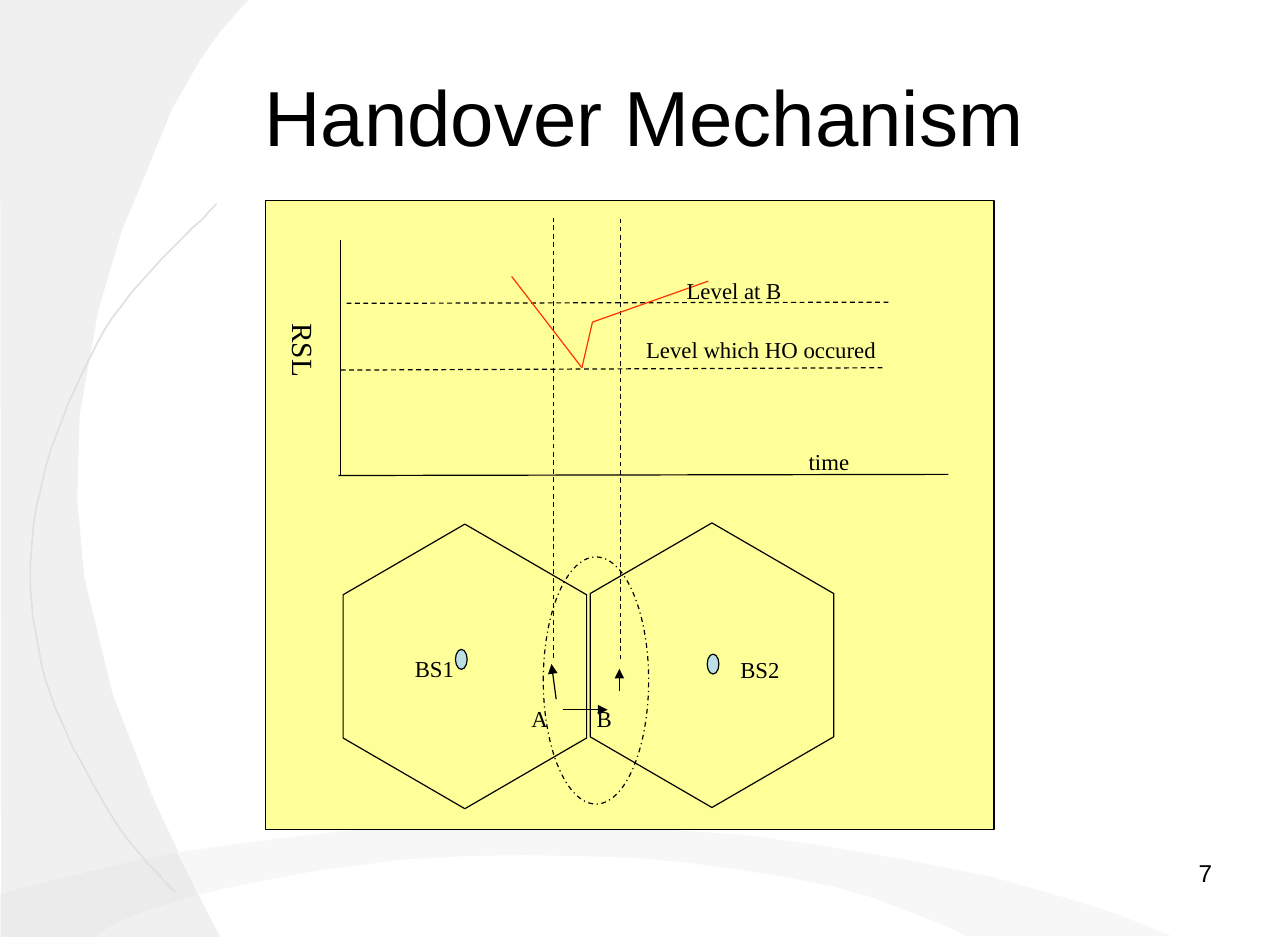
from lxml import etree
from pptx import Presentation
from pptx.dml.color import RGBColor
from pptx.enum.dml import MSO_LINE
from pptx.enum.shapes import MSO_CONNECTOR, MSO_SHAPE
from pptx.enum.text import MSO_ANCHOR, PP_ALIGN
from pptx.oxml.ns import qn
from pptx.util import Inches, Pt

GRID = Inches(0.01)
COLUMNS, ROWS = 1100, 800
TITLE_ONLY = 5
DASH, DASH_DOT = MSO_LINE.DASH, MSO_LINE.DASH_DOT
RECT, OVAL, HEXAGON = MSO_SHAPE.RECTANGLE, MSO_SHAPE.OVAL, MSO_SHAPE.HEXAGON
STRAIGHT = MSO_CONNECTOR.STRAIGHT
CENTER, RIGHT = PP_ALIGN.CENTER, PP_ALIGN.RIGHT
MIDDLE = MSO_ANCHOR.MIDDLE
BLACK, RED = "000000", "FF3300"
SANS, SERIF = "Arial", "Times New Roman"

SIDE_SWEEP = [(0, 0), (212, 0), (188, 27), (171, 51), (147, 93), (127, 142),
              (104, 197), (84, 265), (68, 354), (66, 427), (72, 493), (96, 592),
              (131, 682), (169, 763), (188, 800), (1, 800)]
BOTTOM_SWEEP = [(0, 800), (0, 763), (11, 760), (77, 743), (149, 728), (230, 717),
                (300, 709), (361, 706), (422, 704), (492, 704), (565, 708),
                (637, 713), (702, 722), (773, 734), (848, 749), (898, 763),
                (953, 780), (1000, 799), (825, 799), (809, 791), (778, 779),
                (744, 766), (712, 757), (672, 749), (629, 742), (582, 736),
                (536, 732), (492, 731), (448, 730), (396, 731), (343, 734),
                (273, 743), (224, 752), (168, 764), (132, 775), (103, 785),
                (79, 800)]
SWEEP_OVERLAP = [(1, 800), (81, 800), (89, 794), (101, 787), (118, 780),
                 (133, 775), (146, 771), (159, 767), (169, 764), (160, 745),
                 (151, 728), (119, 734), (79, 743), (46, 751), (15, 759), (1, 763)]
ARC = [(150, 762), (141, 751), (114, 728), (95, 696), (76, 664), (47, 614),
       (36, 570), (26, 526), (22, 481), (31, 433), (40, 385), (64, 325),
       (89, 282), (115, 239), (165, 196), (185, 174)]


def rgb(color):
    """Turn a hex string into a colour."""
    return RGBColor.from_string(color)


def style(sp, fill=None, line=None, weight=0.75, dash=None):
    """Set the fill and outline of a shape and drop its shadow."""
    sp.shadow.inherit = False
    if fill:
        sp.fill.solid()
        sp.fill.fore_color.rgb = rgb(fill)
    else:
        sp.fill.background()
    if line:
        sp.line.color.rgb = rgb(line)
        sp.line.width = Pt(weight)
        sp.line.dash_style = dash
    else:
        sp.line.fill.background()


def shape(slide, kind, center, size, **look):
    """Add a preset shape around a centre point."""
    (x, y), (w, h) = center, size
    sp = slide.shapes.add_shape(kind, round((x - w / 2) * GRID), round((y - h / 2) * GRID),
                                w * GRID, h * GRID)
    style(sp, **look)
    return sp


def outline(slide, points, closed=True, **look):
    """Draw a freeform through grid points."""
    builder = slide.shapes.build_freeform(*points[0], scale=GRID)
    builder.add_line_segments(points[1:], close=closed)
    style(builder.convert_to_shape(), **look)


def line(slide, box, start, end, color=BLACK, dash=None, arrow=False):
    """Draw a straight line between two points of a box."""
    x, y = box[:2]
    ends = [(x + start[0]) * GRID, (y + start[1]) * GRID,
            (x + end[0]) * GRID, (y + end[1]) * GRID]
    cxn = slide.shapes.add_connector(STRAIGHT, *ends)
    cxn.line.color.rgb = rgb(color)
    cxn.line.width = Pt(0.75)
    cxn.line.dash_style = dash
    if arrow:
        etree.SubElement(cxn.line._get_or_add_ln(), qn("a:tailEnd"), type="triangle")
    etree.SubElement(cxn._element.spPr, qn("a:effectLst"))


def write(tf, text, size, font, align=CENTER):
    """Write one formatted run into a text frame."""
    p = tf.paragraphs[0]
    p.alignment = align
    r = p.add_run()
    r.text = text
    r.font.size, r.font.name = Pt(size), font
    r.font.color.rgb = rgb(BLACK)


def label(slide, box, text, center, width, height=34, size=14, turn=0):
    """Place a centred label around a point of a box."""
    x, y = box[0] + center[0] - width / 2, box[1] + center[1] - height / 2
    sp = slide.shapes.add_textbox(round(x * GRID), round(y * GRID),
                                  width * GRID, height * GRID)
    sp.rotation = turn
    sp.text_frame.word_wrap = False
    write(sp.text_frame, text, size, SERIF)


def cubic(a, b, c, d, t):
    """Return the point at share t of a cubic curve."""
    return tuple((1 - t) ** 3 * i + 3 * t * (1 - t) ** 2 * j
                 + 3 * t ** 2 * (1 - t) * k + t ** 3 * m
                 for i, j, k, m in zip(a, b, c, d))


def backdrop(slide):
    """Draw the grey sweeps and the thin arc."""
    for points, fill in ((SIDE_SWEEP, "F0F0F0"), (BOTTOM_SWEEP, "F7F7F7"),
                         (SWEEP_OVERLAP, "EBEBEB")):
        outline(slide, points, fill=fill)
    steps = 12
    curve = [cubic(*ARC[i:i + 4], s / steps)
             for i in range(0, len(ARC) - 1, 3) for s in range(steps)]
    outline(slide, curve + ARC[-1:], closed=False, line="DFDFE4", weight=1)


def heading(slide, box):
    """Place the slide title."""
    sp = slide.shapes.title
    sp.left, sp.top, sp.width, sp.height = (v * GRID for v in box)
    sp.text_frame.vertical_anchor = MIDDLE
    write(sp.text_frame, "Handover Mechanism", 48, SANS)


def panel(slide, box):
    """Draw the yellow panel."""
    x, y, w, h = box
    shape(slide, RECT, (x + w / 2, y + h / 2), (w, h), fill="FFFF99", line=BLACK)


def cells(slide, box):
    """Draw both cells, their base stations and the handover zone."""
    x, y, w, h = box
    for name, hexagon, mast, tag in (("BS1", (104, 122), (101, 116), (78, 124)),
                                     ("BS2", (315, 121), (316, 120), (356, 125))):
        sp = shape(slide, HEXAGON, (x + hexagon[0], y + hexagon[1]), (h, w // 2),
                   line=BLACK)
        sp.rotation = 90
        sp.adjustments[0] = 0.29
        shape(slide, OVAL, (x + mast[0], y + mast[1]), (10, 17),
              fill="BBE0E3", line=BLACK)
        label(slide, box, name, tag, 55)
    shape(slide, OVAL, (x + 216, y + 134), (90, 211), line=BLACK, dash=DASH_DOT)
    for start, end in (((182, 150), (178, 120)), ((236, 143), (236, 124)),
                       ((188, 159), (226, 159))):
        line(slide, box, start, end, arrow=True)
    for name, column in (("A", 168), ("B", 223)):
        label(slide, box, name, (column, 167), 36)


def signal_chart(slide, box):
    """Draw the received level over time with its thresholds."""
    w, h = box[2:]
    line(slide, box, (-2, h), (w, h - 1))
    line(slide, box, (0, h), (0, 0))
    for start, end in (((182, 357), (182, -19)), ((239, 358), (239, -18)),
                       ((0, 111), (463, 109)), ((5, 54), (469, 53))):
        line(slide, box, start, end, dash=DASH)
    level = [(146, 31), (206, 109), (215, 70), (314, 35)]
    for start, end in zip(level, level[1:]):
        line(slide, box, start, end, color=RED)
    label(slide, box, "RSL", (-32, 94), 95, height=41, size=18, turn=90)
    label(slide, box, "Level at B", (336, 43), 103)
    label(slide, box, "Level which HO occured", (359, 94), 218)
    label(slide, box, "time", (417, 189), 56)


def page_number(slide, box):
    """Place the page number at the lower right."""
    sp = slide.shapes.add_textbox(*(v * GRID for v in box))
    sp.text_frame.word_wrap = True
    write(sp.text_frame, "7", 15, SANS, RIGHT)


def main():
    """Build and save the slide."""
    prs = Presentation()
    prs.slide_width, prs.slide_height = COLUMNS * GRID, ROWS * GRID
    slide = prs.slides.add_slide(prs.slide_layouts[TITLE_ONLY])
    backdrop(slide)
    heading(slide, (55, 32, 990, 133))
    panel(slide, (227, 171, 622, 537))
    cells(slide, (293, 447, 416, 243))
    signal_chart(slide, (291, 205, 519, 201))
    page_number(slide, (788, 728, 257, 56))
    prs.save("out.pptx")


if __name__ == "__main__":
    main()
